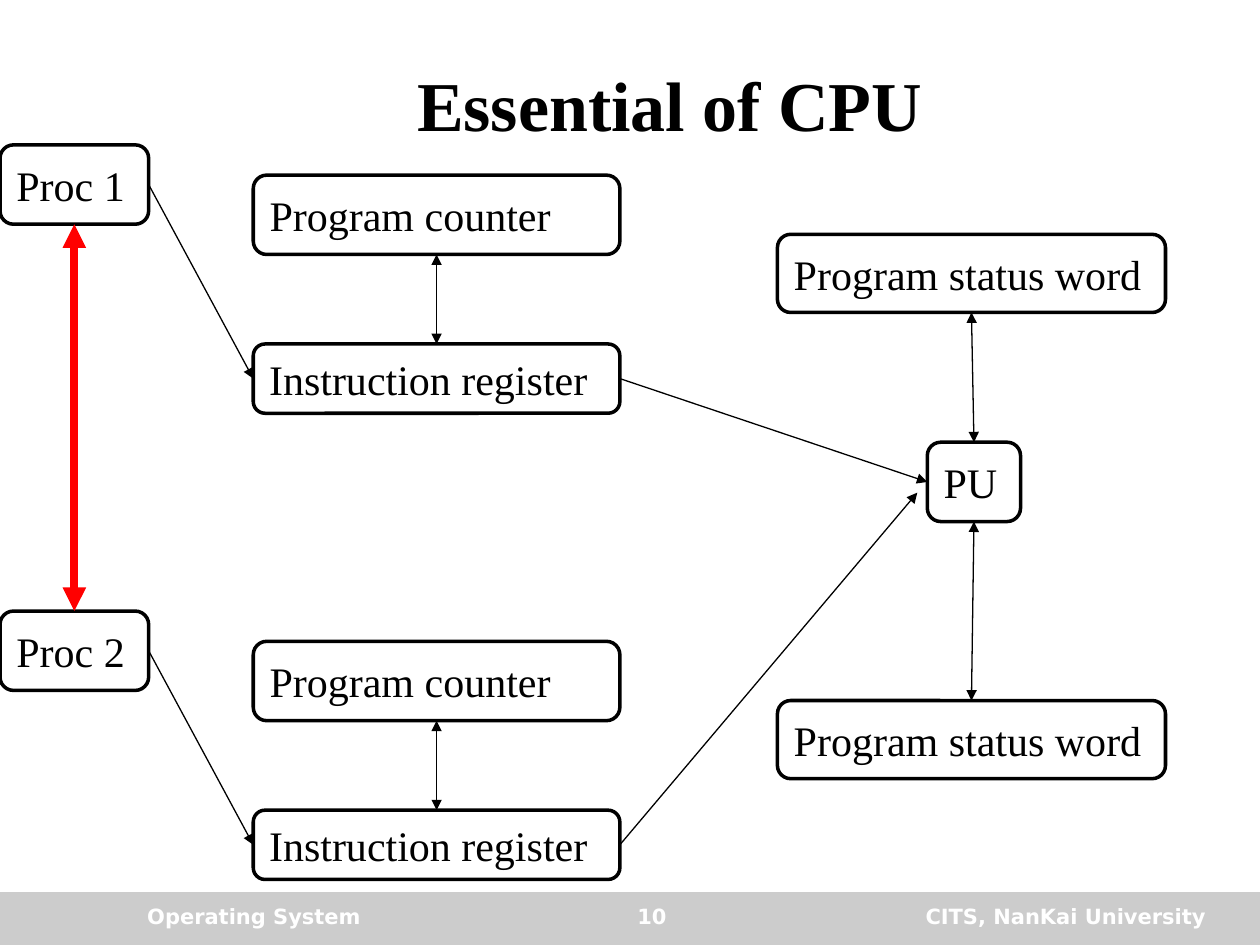
import pptx
import pptx.dml.color
import pptx.enum.shapes
import pptx.enum.text
import pptx.oxml.ns
import pptx.util
from lxml import etree

Inches = pptx.util.Inches
SHAPE = pptx.enum.shapes.MSO_SHAPE
ALIGN = pptx.enum.text.PP_ALIGN
ANCHOR = pptx.enum.text.MSO_ANCHOR

COLORS = {"text": "000000", "box": "FFFFFF", "footer": "CCCCCC",
          "footer_text": "FFFFFF", "switch": "FF0000"}
SERIF, SANS = "Times New Roman", "DejaVu Sans"
TITLE = ("Essential of CPU", (1.06, 0.33, 8.51, 0.98))
FOOTERS = [
    ("Operating System", 1.07, 2.75, ALIGN.LEFT),
    ("CITS, NanKai University", 6.5, 3.17, ALIGN.RIGHT),
    ("10", 4.01, 2.33, ALIGN.CENTER),
]

# Each process has the same set of boxes; the second set sits lower.
PROCESS_STEP = 3.7
PROCESS_BOXES = {
    "proc": ("Proc {}", (0, 1.15, 1.18, 0.63)),
    "register": ("Instruction register", (2.01, 2.73, 2.91, 0.55)),
    "counter": ("Program counter", (2.01, 1.39, 2.91, 0.63)),
    "status": ("Program status word", (6.17, 1.86, 3.08, 0.62)),
}
PU_BOX = ("PU", (7.36, 3.51, 0.74, 0.63))

# Connection sites of a rounded rectangle
TOP, LEFT, BOTTOM, RIGHT = range(4)
BELOW_PU_ENTRY = (7.28, 3.91)
# start box, start side, end box, end side, two-headed
ARROWS = [
    ("proc1", RIGHT, "register1", LEFT, False),
    ("register1", TOP, "counter1", BOTTOM, True),
    ("register1", RIGHT, "pu", LEFT, False),
    ("pu", TOP, "status1", BOTTOM, True),
    ("proc2", RIGHT, "register2", LEFT, False),
    ("register2", TOP, "counter2", BOTTOM, True),
    ("register2", RIGHT, None, None, False),
    ("pu", BOTTOM, "status2", TOP, True),
]


def rgb(name):
    return pptx.dml.color.RGBColor.from_string(COLORS[name])


def write(sp, text, size, font, color="text", bold=False, align=ALIGN.LEFT,
          anchor=ANCHOR.MIDDLE):
    tf = sp.text_frame
    frame = {"word_wrap": True, "vertical_anchor": anchor,
             "margin_left": Inches(0.1), "margin_right": Inches(0.1),
             "margin_top": Inches(0.05), "margin_bottom": Inches(0.05)}
    for name, value in frame.items():
        setattr(tf, name, value)
    p = tf.paragraphs[0]
    p.alignment = align
    r = p.add_run()
    r.text = text
    for name, value in {"size": pptx.util.Pt(size), "name": font, "bold": bold}.items():
        setattr(r.font, name, value)
    r.font.color.rgb = rgb(color)


def add_block(s, kind, at, fill):
    sp = s.shapes.add_shape(kind, *map(Inches, at))
    sp.shadow.inherit = False
    sp.fill.solid()
    sp.fill.fore_color.rgb = rgb(fill)
    sp.line.fill.background()
    return sp


def add_box(s, text, at):
    sp = add_block(s, SHAPE.ROUNDED_RECTANGLE, at, "box")
    sp.adjustments[0] = 0.17
    sp.line.color.rgb = rgb("text")
    sp.line.width = pptx.util.Pt(2)
    write(sp, text, 24, SERIF)
    sp.text_frame.word_wrap = False
    return sp


def add_arrow(s, start, start_side, end, end_side, two_headed,
              color="text", width=0.75):
    """Join two boxes; without an end box the arrow stops just below PU's entry."""
    x, y = map(Inches, BELOW_PU_ENTRY)
    line = s.shapes.add_connector(pptx.enum.shapes.MSO_CONNECTOR.STRAIGHT, 0, 0, x, y)
    line.begin_connect(start, start_side)
    if end is not None:
        line.end_connect(end, end_side)
    line.line.color.rgb = rgb(color)
    line.line.width = pptx.util.Pt(width)
    ln = line.line._get_or_add_ln()
    for tag in ["a:headEnd", "a:tailEnd"] if two_headed else ["a:tailEnd"]:
        etree.SubElement(ln, pptx.oxml.ns.qn(tag), type="triangle")
    etree.SubElement(line._element.spPr, pptx.oxml.ns.qn("a:effectLst"))


def main():
    prs = pptx.Presentation()
    prs.slide_width, prs.slide_height = Inches(10), Inches(7.5)
    s = prs.slides.add_slide(prs.slide_layouts[5])

    add_block(s, SHAPE.RECTANGLE, (0, 7.08, 10, 0.42), "footer")
    for text, left, width, align in FOOTERS:
        sp = s.shapes.add_textbox(*map(Inches, (left, 7.12, width, 0.33)))
        write(sp, text, 12, SANS, "footer_text", True, align, ANCHOR.TOP)

    text, at = TITLE
    title = s.shapes.title
    for name, value in zip(("left", "top", "width", "height"), at):
        setattr(title, name, Inches(value))
    write(title, text, 40, SERIF, bold=True, align=ALIGN.CENTER)

    boxes = {"pu": add_box(s, *PU_BOX)}
    for number in (1, 2):
        for name, (text, (left, top, width, height)) in PROCESS_BOXES.items():
            at = (left, top + (number - 1) * PROCESS_STEP, width, height)
            boxes[f"{name}{number}"] = add_box(s, text.format(number), at)

    for start, start_side, end, end_side, two_headed in ARROWS:
        add_arrow(s, boxes[start], start_side, boxes.get(end), end_side, two_headed)
    add_arrow(s, boxes["proc1"], BOTTOM, boxes["proc2"], TOP, True, "switch", 4.5)

    prs.save("out.pptx")


if __name__ == "__main__":
    main()
